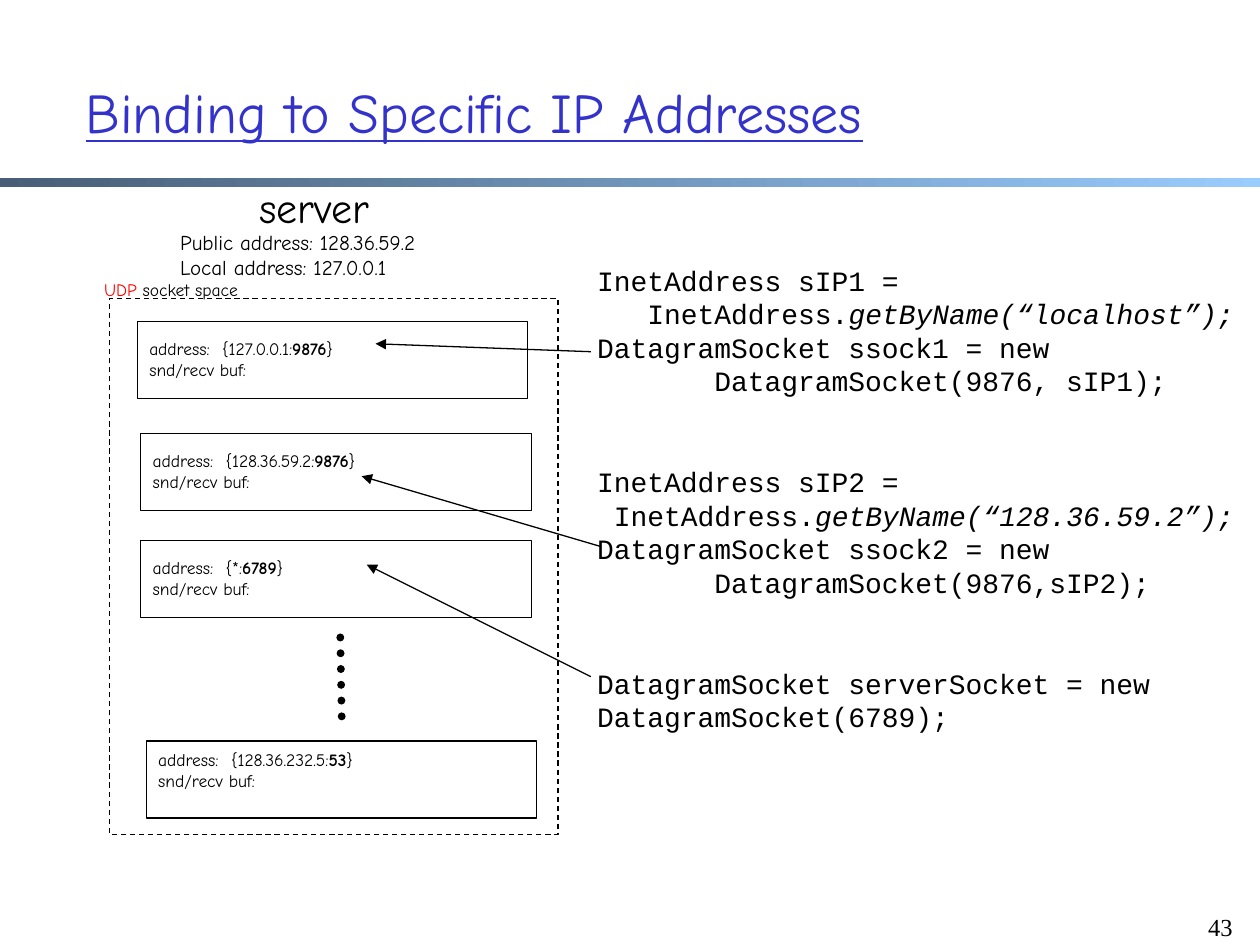
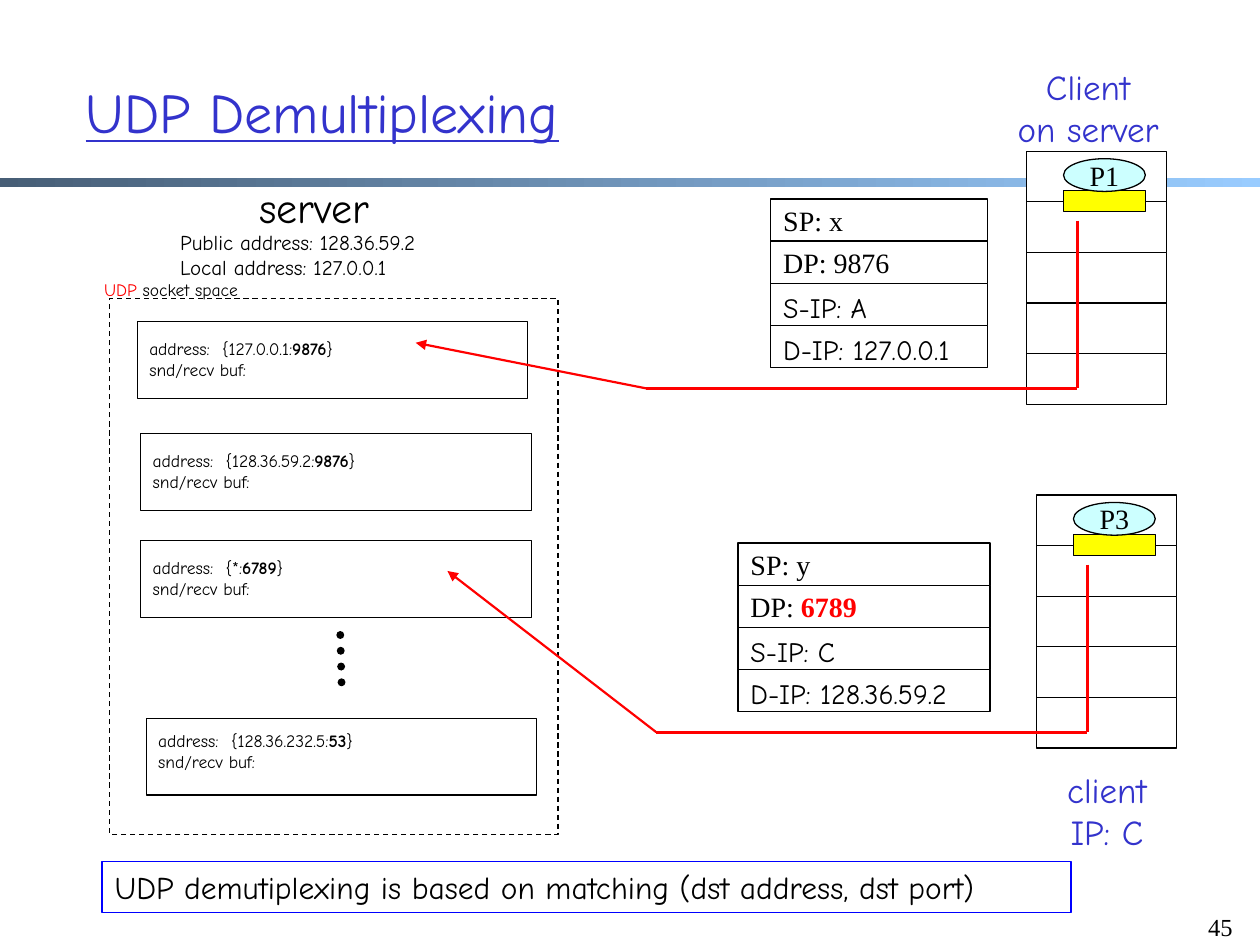
from lxml import etree
from pptx import Presentation
from pptx.dml.color import RGBColor
from pptx.enum.dml import MSO_LINE
from pptx.enum.shapes import MSO_CONNECTOR, MSO_SHAPE
from pptx.enum.text import MSO_ANCHOR, MSO_AUTO_SIZE, PP_ALIGN
from pptx.oxml.ns import qn
from pptx.util import Cm, Pt

RECT, OVAL = MSO_SHAPE.RECTANGLE, MSO_SHAPE.OVAL
STRAIGHT = MSO_CONNECTOR.STRAIGHT
DASH, DOTS = MSO_LINE.DASH, MSO_LINE.ROUND_DOT
TOP, MIDDLE = MSO_ANCHOR.TOP, MSO_ANCHOR.MIDDLE
LEFT, CENTER, RIGHT = PP_ALIGN.LEFT, PP_ALIGN.CENTER, PP_ALIGN.RIGHT

COMIC, MONO, SERIF = "Comic Neue", "Courier New", "Times New Roman"
COLORS = {
    "black": "000000", "white": "FFFFFF", "red": "FF0000", "blue": "0000FF",
    "title": "3333CC", "yellow": "FFFF00", "process": "CCFFFF",
    "band_dark": "475E76", "band_light": "99CCFF",
}
TITLE_ONLY = 5

# Socket offsets (left, top) inside the socket space, with address and port
SOCKETS = [
    (0.56, 0.46, "127.0.0.1", "9876"),
    (0.63, 2.72, "128.36.59.2", "9876"),
    (0.63, 4.88, "*", "6789"),
]
SOCKET_TEXT_TOP = 0.33

# Each code block is a list of lines; a line is plain text plus italic text
CODE_BLOCKS = [
    [("InetAddress sIP1 =", ""),
     ("   InetAddress.", "getByName(“localhost”);"),
     ("DatagramSocket ssock1 = new", ""),
     ("       DatagramSocket(9876, sIP1);", "")],
    [("InetAddress sIP2 =", ""),
     (" InetAddress.", "getByName(“128.36.59.2”);"),
     ("DatagramSocket ssock2 = new", ""),
     ("       DatagramSocket(9876,sIP2);", "")],
    [("DatagramSocket serverSocket = new DatagramSocket(6789);", "")],
]
CODE_PITCH = 19.2


def rgb(name):
    return RGBColor.from_string(COLORS[name])


def add_span(para, text, size, font=COMIC, color="black", bold=False, italic=False):
    span = para.add_run()
    span.text = text
    span.font.name, span.font.size = font, Pt(size)
    span.font.color.rgb = rgb(color)
    span.font.bold, span.font.italic = bold, italic
    return span


def next_para(frame, align=LEFT):
    """Return the empty first paragraph, or a new one after the others."""
    first = frame.paragraphs[0]
    para = frame.add_paragraph() if first.runs else first
    para.alignment = align
    return para


def add_text(page, left, top, width, height, lines=(), size=12, font=COMIC,
             color="black", align=LEFT, anchor=TOP):
    box = page.shapes.add_textbox(Cm(left), Cm(top), Cm(width), Cm(height))
    frame = box.text_frame
    frame.word_wrap = True
    frame.vertical_anchor = anchor
    for line in lines:
        add_span(next_para(frame, align), line, size, font, color)
    return frame


def add_box(page, left, top, width, height, kind=RECT, fill=None, line="black"):
    shape = page.shapes.add_shape(kind, Cm(left), Cm(top), Cm(width), Cm(height))
    shape.shadow.inherit = False
    if fill:
        shape.fill.solid()
        shape.fill.fore_color.rgb = rgb(fill)
    else:
        shape.fill.background()
    shape.line.color.rgb = rgb(line)
    shape.line.width = Pt(0.75)
    shape.text_frame.word_wrap = True
    return shape


def add_line(page, start, end, color="black", width=0.75, arrow=False, dotted=False):
    """Draw a straight line; an arrowhead sits at its start."""
    line = page.shapes.add_connector(STRAIGHT, *map(Cm, start + end))
    line.line.color.rgb = rgb(color)
    line.line.width = Pt(width)
    properties = line._element.spPr
    outline = properties.find(qn("a:ln"))
    if dotted:
        line.line.dash_style = DOTS
        outline.set("cap", "rnd")
    if arrow:
        etree.SubElement(outline, qn("a:headEnd"), type="triangle")
    etree.SubElement(properties, qn("a:effectLst"))


def add_page(deck, title, number):
    page = deck.slides.add_slide(deck.slide_layouts[TITLE_ONLY])
    band = add_box(page, 0, 3.58, 25.4, 0.2)
    band.line.fill.background()
    band.fill.gradient()
    band.fill.gradient_angle = 0
    for stop, name in zip(band.fill.gradient_stops, ("band_dark", "band_light")):
        stop.color.rgb = rgb(name)

    heading = page.shapes.title
    heading.left, heading.top = Cm(1.47), Cm(0.66)
    heading.width, heading.height = Cm(22.96), Cm(3.18)
    frame = heading.text_frame
    frame.auto_size = MSO_AUTO_SIZE.NONE
    frame.vertical_anchor = MIDDLE
    add_span(next_para(frame), title, 32, color="title").font.underline = True

    add_text(page, 23.83, 18.26, 1.27, 1.27, [number], 14, SERIF, align=RIGHT)
    return page


def draw_socket(page, left, top, address, port, text_top=SOCKET_TEXT_TOP):
    frame = add_box(page, left, top, 7.87, 1.55).text_frame
    frame.vertical_anchor = TOP
    frame.margin_left, frame.margin_top = Cm(0.24), Cm(text_top)
    para = next_para(frame)
    tabs = etree.SubElement(para._p.get_or_add_pPr(), qn("a:tabLst"))
    etree.SubElement(tabs, qn("a:tab"), pos=str(Cm(1.47)), algn="l")
    add_span(para, f"address:\t{{{address}:", 10)
    add_span(para, port, 10, bold=True)
    add_span(para, "}", 10)
    add_span(next_para(frame), "snd/recv buf:", 10)


def draw_server(page, left, top, last_top, last_text_top, dots_start, dots_end):
    """Draw the socket space at left, top with the server heading above it."""
    add_text(page, left + 2.77, top - 2.49, 3.6, 1.27, ["server"], 24, anchor=MIDDLE)
    add_box(page, left, top, 9.04, 10.8).line.dash_style = DASH
    label = next_para(add_text(page, left - 0.36, top - 0.51, 3.8, 0.69))
    add_span(label, "UDP", 10, color="red")
    add_span(label, " socket space", 10)
    add_text(page, left + 1.17, top - 1.52, 5.97, 1.3,
             ["Public address: 128.36.59.2", "Local address: 127.0.0.1"])
    for dx, dy, address, port in SOCKETS:
        draw_socket(page, left + dx, top + dy, address, port)
    draw_socket(page, left + 0.74, top + last_top, "128.36.232.5", "53", last_text_top)
    add_line(page, (left + 4.65, top + dots_start), (left + 4.68, top + dots_end),
             width=4.5, dotted=True)


def draw_code(page, left, top, width, height):
    frame = add_text(page, left, top, width, height)
    for block_index, block in enumerate(CODE_BLOCKS):
        for line_index, (plain, italic) in enumerate(block):
            para = next_para(frame)
            para.line_spacing = Pt(CODE_PITCH)
            if block_index and line_index == 0:
                para.space_before = Pt(2 * CODE_PITCH)
            add_span(para, plain, 16, MONO)
            if italic:
                add_span(para, italic, 16, MONO, italic=True)


def draw_client(page, left, top, process, label, label_offset):
    """Draw the layer stack with its process, socket and label."""
    for layer in range(5):
        add_box(page, left, top + layer * 1.02, 2.82, 1.02, fill="white")
    add_box(page, left + 0.74, top + 0.79, 1.65, 0.43, fill="yellow")
    oval = add_box(page, left + 0.74, top + 0.15, 1.65, 0.66, OVAL, "process")
    frame = oval.text_frame
    frame.word_wrap = False
    frame.vertical_anchor = MIDDLE
    add_span(next_para(frame, CENTER), process, 16, SERIF)
    dx, dy = label_offset
    add_text(page, left + dx, top + dy, 3.63, 1.96, label, 20,
             color="title", align=CENTER)


def draw_route(page, left, top, tip):
    """Lead from the client stack at left, top to a socket at tip."""
    out, corner = (left + 1.02, top + 1.4), (left + 1.02, top + 4.78)
    bend = (corner[0] - 8.69, corner[1])
    add_line(page, tip, bend, "red", 1.25, arrow=True)
    add_line(page, out, corner, "red", 1.5)
    add_line(page, bend, corner, "red", 1.5)


def draw_packet(page, left, top, width, source_port, target_port, source, target,
                port_style):
    rows = [
        (SERIF, [("SP: " + source_port, {})]),
        (SERIF, [("DP: ", {}), (target_port, port_style)]),
        (COMIC, [("S-IP: " + source, {})]),
        (COMIC, [("D-IP: " + target, {})]),
    ]
    for index, (font, spans) in enumerate(rows):
        cell = add_box(page, left, top + index * 0.85, width, 0.85, fill="white")
        frame = cell.text_frame
        frame.vertical_anchor = MIDDLE
        frame.margin_top = Cm(0.24 if font == COMIC else 0.13)
        para = next_para(frame)
        for text, style in spans:
            add_span(para, text, 16, font, **style)


def build_binding(deck):
    page = add_page(deck, "Binding to Specific IP Addresses", "43")
    draw_server(page, 2.21, 6.02, 8.92, 0.15, 6.83, 8.53)
    draw_code(page, 11.79, 5.18, 13.61, 9.83)
    for tip, code_line in [
        ((7.57, 6.93), (11.91, 7.09)),
        ((7.29, 9.6), (12.12, 11.02)),
        ((7.39, 11.38), (11.91, 13.64)),
    ]:
        add_line(page, tip, code_line, arrow=True)


def build_demultiplexing(deck):
    page = add_page(deck, "UDP Demultiplexing", "45")
    draw_server(page, 2.21, 6.02, 8.46, 0.23, 6.78, 7.92)
    note = add_box(page, 2.06, 17.37, 19.53, 1.02, line="blue").text_frame
    add_span(next_para(note),
             "UDP demutiplexing is based on matching (dst address, dst port)", 18)

    draw_client(page, 20.7, 3.05, "P1", ["Client", "on server"], (-0.58, -1.85))
    draw_packet(page, 15.54, 4.01, 4.37, "x", "9876", "A", "127.0.0.1", {})
    draw_route(page, 20.7, 3.05, (8.38, 6.91))

    draw_client(page, 20.9, 9.98, "P3", ["client", "IP: C"], (-0.4, 5.38))
    draw_packet(page, 14.88, 10.95, 5.08, "y", "6789", "C", "128.36.59.2",
                {"color": "red", "bold": True})
    draw_route(page, 20.9, 9.98, (9.02, 11.51))


def main():
    deck = Presentation()
    deck.slide_width, deck.slide_height = Cm(25.4), Cm(19.05)
    build_binding(deck)
    build_demultiplexing(deck)
    deck.save("out.pptx")


if __name__ == "__main__":
    main()
